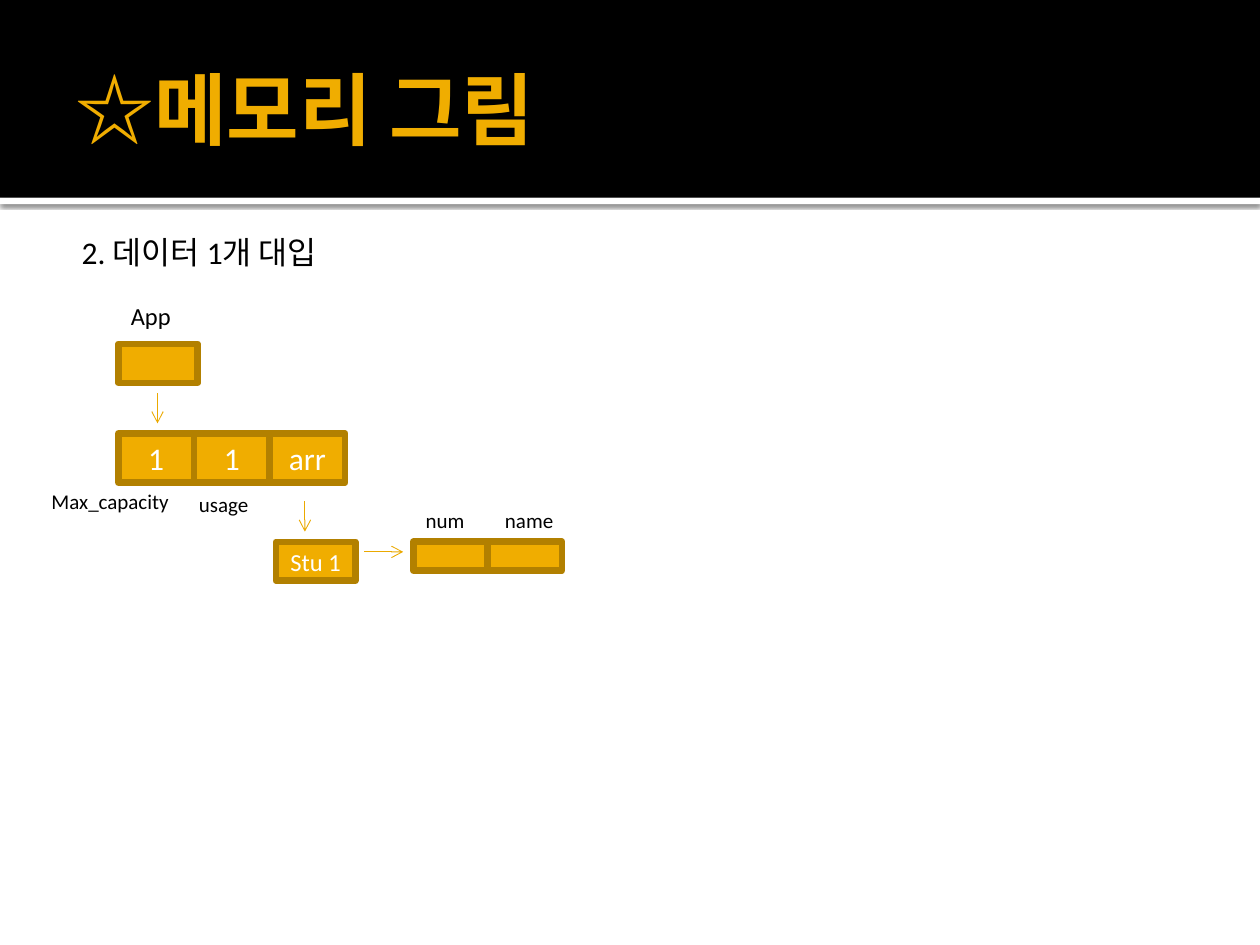
from dataclasses import dataclass
from typing import Any

from lxml.etree import SubElement
from pptx import Presentation
from pptx.dml.color import RGBColor
from pptx.enum.shapes import MSO_CONNECTOR, MSO_SHAPE
from pptx.enum.text import MSO_ANCHOR, PP_ALIGN
from pptx.oxml.ns import qn
from pptx.util import Inches, Pt

HUES = {"gold": "F0AD00", "edge": "B28000", "arrow": "EBA900",
        "black": "000000", "white": "FFFFFF"}
UNIT = Inches(0.1)
COLS, ROWS = 100, 75


@dataclass
class Box:
    col: float
    row: float
    wide: float
    high: float
    text: str = ""
    size: float = 18


@dataclass
class Label(Box):
    hue: str = "black"
    bold: bool = False
    wrap: bool = True
    anchor: Any = MSO_ANCHOR.TOP


@dataclass
class Arrow:
    col: float
    row: float
    right: float = 0
    down: float = 0


def grid(*spans: float) -> list[int]:
    """Turn grid spans into lengths."""
    return [round(span * UNIT) for span in spans]


def apply(item: Any, style: dict[str, Any]) -> None:
    """Set each named value on an item."""
    for name, value in style.items():
        setattr(item, name, value)


def color(hue: str) -> RGBColor:
    """Look up a colour by name."""
    return RGBColor.from_string(HUES[hue])


def write(shape: Any, text: str, size: float, hue: str, frame: dict[str, Any],
          align: Any = PP_ALIGN.LEFT, bold: bool = False) -> None:
    """Write one styled line into a shape."""
    apply(shape.text_frame, frame)
    line = shape.text_frame.paragraphs[0]
    line.alignment = align
    run = line.add_run()
    run.text = text
    apply(run.font, {"name": "Calibri", "size": Pt(size), "bold": bold})
    run.font.color.rgb = color(hue)


def block(slide: Any, box: Box, hue: str) -> Any:
    """Draw a plain filled rectangle."""
    shape = slide.shapes.add_shape(
        MSO_SHAPE.RECTANGLE, *grid(box.col, box.row, box.wide, box.high))
    shape.shadow.inherit = False
    shape.fill.solid()
    shape.fill.fore_color.rgb = color(hue)
    shape.line.fill.background()
    return shape


def shade(shape: Any) -> None:
    """Give a shape a soft shadow below it."""
    effects = shape._element.spPr.find(qn("a:effectLst"))
    cast = SubElement(effects, qn("a:outerShdw"), blurRad=str(Pt(2.5)),
                      dist=str(Pt(0.8)), dir="5400000", algn="tl", rotWithShape="0")
    tint = SubElement(cast, qn("a:srgbClr"), val=HUES["black"])
    SubElement(tint, qn("a:alpha"), val="60000")


def cell(slide: Any, box: Box) -> None:
    """Draw a memory cell with its value."""
    shape = block(slide, box, "gold")
    shape.line.color.rgb = color("edge")
    shape.line.width = Pt(3.78)
    SubElement(shape.line._get_or_add_ln(), qn("a:round"))
    if box.text:
        write(shape, box.text, box.size, "white",
              {"vertical_anchor": MSO_ANCHOR.MIDDLE}, PP_ALIGN.CENTER)


def label(slide: Any, item: Label) -> None:
    """Draw a text box."""
    shape = slide.shapes.add_textbox(
        *grid(item.col, item.row, item.wide, item.high))
    write(shape, item.text, item.size, item.hue,
          {"word_wrap": item.wrap, "vertical_anchor": item.anchor}, bold=item.bold)


def arrow(slide: Any, item: Arrow) -> None:
    """Draw a thin pointer."""
    ends = grid(item.col, item.row, item.col + item.right, item.row + item.down)
    line = slide.shapes.add_connector(MSO_CONNECTOR.STRAIGHT, *ends)
    line.line.color.rgb = color("arrow")
    line.line.width = Pt(0.5)
    SubElement(line.line._get_or_add_ln(), qn("a:tailEnd"), type="arrow")
    SubElement(line._element.spPr, qn("a:effectLst"))


def main() -> None:
    """Build and save the memory slide."""
    deck = Presentation()
    apply(deck, {"slide_width": COLS * UNIT, "slide_height": ROWS * UNIT})
    slide = deck.slides.add_slide(deck.slide_layouts[6])

    head = 15.7
    shade(block(slide, Box(0, head, COLS, 0.5), "white"))
    block(slide, Box(0, 0, COLS, head), "black")

    left, field, part = 9.4, 6, 5.9
    cells = [Box(left, 27.3, 6.3, 3.1), Box(21.9, 43, 6.3, 3.1, "Stu 1", 14)]
    cells += [Box(left + i * field, 34.4, field, 3.9, text)
              for i, text in enumerate(("1", "1", "arr"))]
    cells += [Box(32.8 + i * part, 43, part, 2.3) for i in range(2)]
    for box in cells:
        cell(slide, box)

    for item in (Arrow(12.5, 31.2, down=2.4), Arrow(24.2, 39.8, down=2.4),
                 Arrow(28.9, 43.8, right=3.1)):
        arrow(slide, item)

    for item in (
        Label(5, 1.7, 90, 13.7, "☆메모리 그림", 45, "gold", True,
              anchor=MSO_ANCHOR.MIDDLE),
        Label(5.5, 18, 35.2, 4, "2. 데이터 1개 대입"),
        Label(left, 23.4, 5.3, 3.4, "App", 14, wrap=False),
        Label(3.1, 38.3, 11.6, 3, "Max_capacity", 12, wrap=False),
        Label(14.8, 37.5, 7, 4, "usage", 12, anchor=MSO_ANCHOR.BOTTOM),
        Label(32.8, 39.8, 5.2, 3, "num", 12, wrap=False),
        Label(39.1, 39.8, 6.3, 3, "name", 12),
    ):
        label(slide, item)

    deck.save("out.pptx")


if __name__ == "__main__":
    main()
